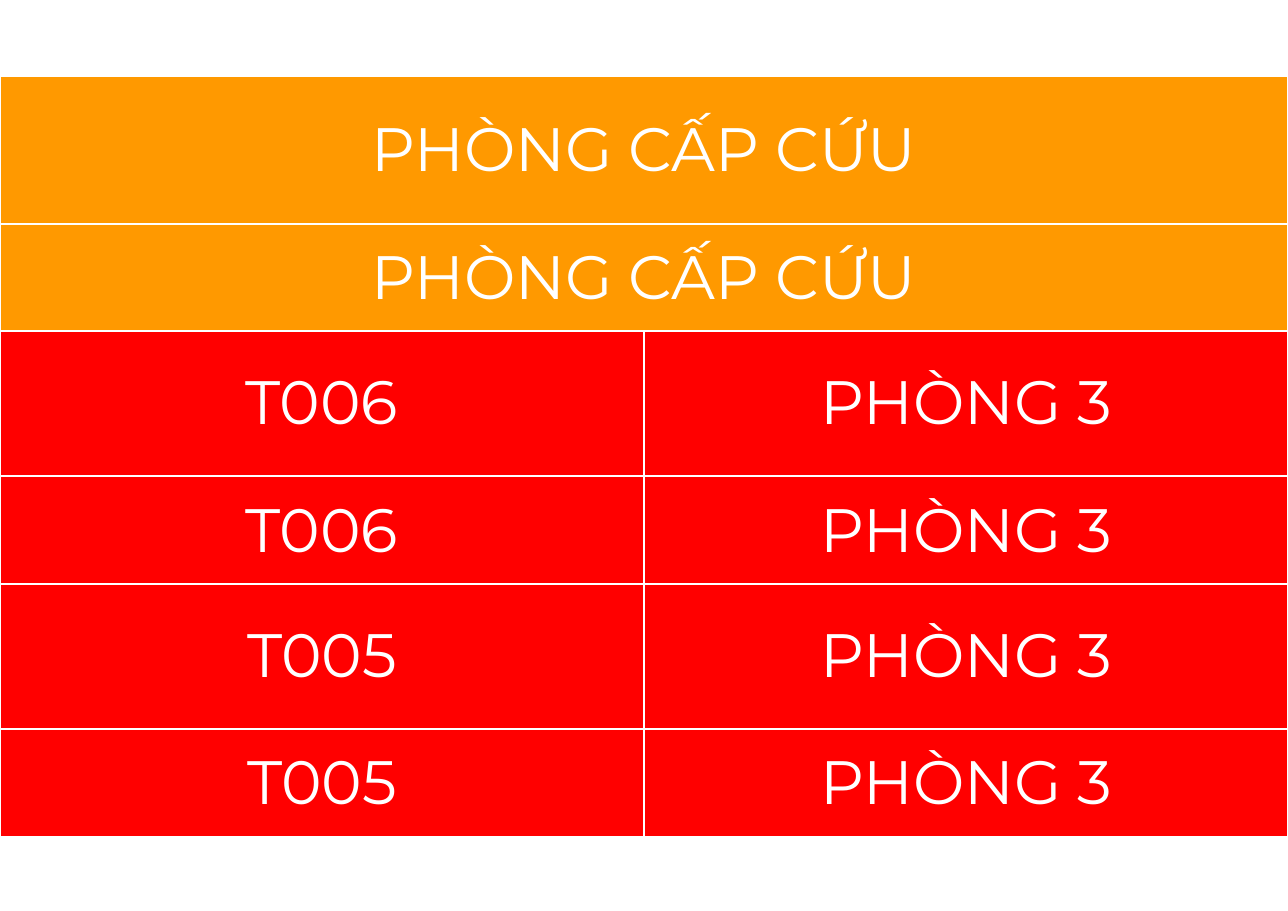
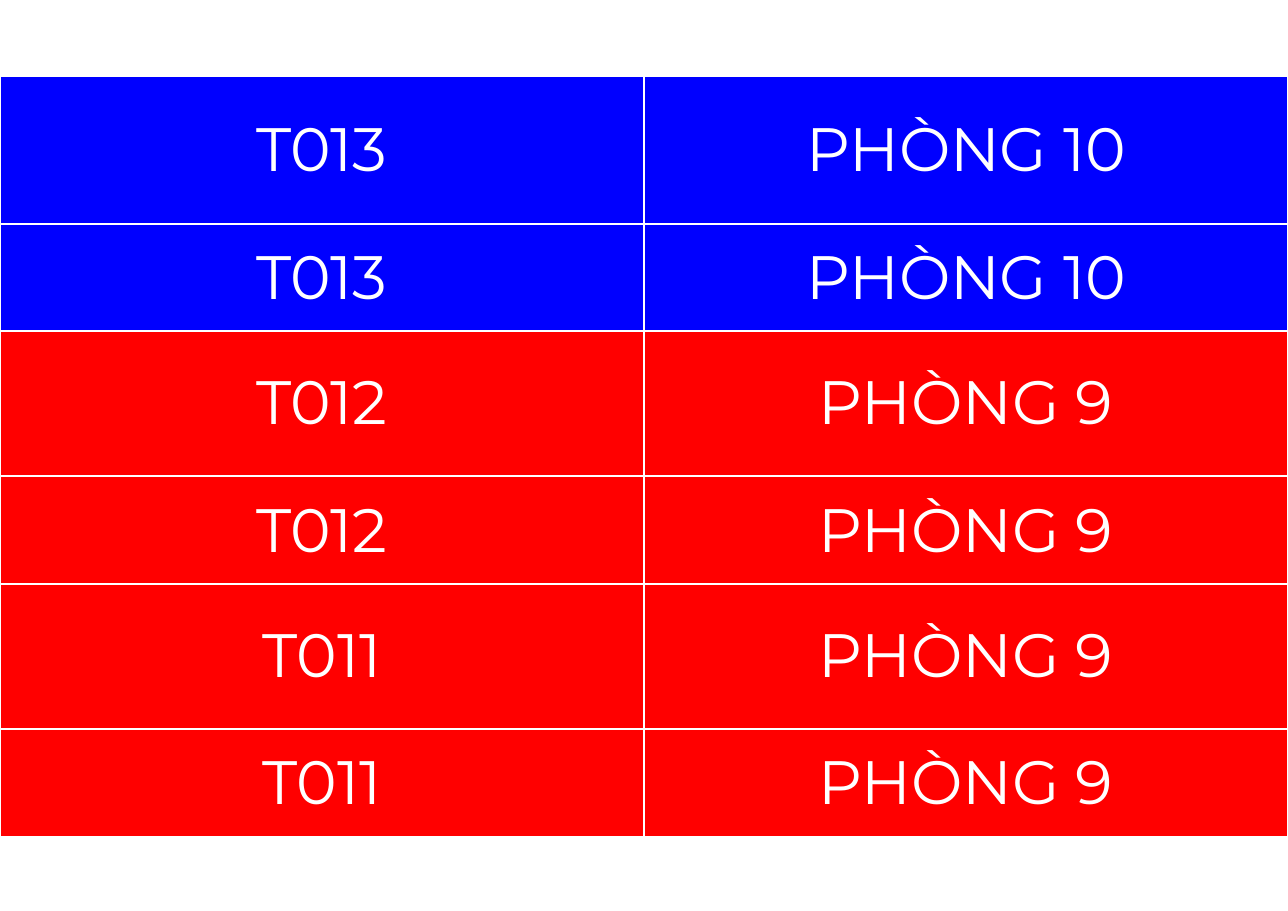
from lxml.etree import SubElement
from pptx import Presentation
from pptx.dml.color import RGBColor as Rgb
from pptx.enum.text import MSO_ANCHOR as Anchor, PP_ALIGN as Align
from pptx.oxml.ns import qn
from pptx.util import Inches, Pt

WIDE, HIGH = 11.69, 8.27
TOP, LAST = 0.69, 5.28
TALL, SHORT = 1.34, 0.94
FONT, SIZE = "Montserrat", 40
HUES = {"white": "FFFFFF", "red": "FF0000", "blue": "0000FF", "amber": "FF9900"}
ROOMS = [
    [("amber", ["PHÒNG CẤP CỨU"]), ("red", ["T006", "PHÒNG 3"]),
     ("red", ["T005", "PHÒNG 3"])],
    [("blue", ["T013", "PHÒNG 10"]), ("red", ["T012", "PHÒNG 9"]),
     ("red", ["T011", "PHÒNG 9"])],
]


def edge(cell):
    """Draw a thin white border on all four sides of a cell."""
    props = cell._tc.get_or_add_tcPr()
    for spot, side in enumerate(("lnL", "lnR", "lnT", "lnB")):
        line = SubElement(props, qn("a:" + side), w=str(Pt(1.5)))
        fill = SubElement(line, qn("a:solidFill"))
        SubElement(fill, qn("a:srgbClr"), val=HUES["white"])
        props.insert(spot, line)


def style(cell, text, hue):
    """Fill one cell and centre its text."""
    cell.fill.solid()
    cell.fill.fore_color.rgb = Rgb.from_string(HUES[hue])
    cell.vertical_anchor = Anchor.MIDDLE
    cell.margin_left = cell.margin_right = Inches(0.12)
    cell.margin_top = cell.margin_bottom = Inches(0.15)
    cell.text = text
    para = cell.text_frame.paragraphs[0]
    para.alignment = Align.CENTER
    para.font.name, para.font.size = FONT, Pt(SIZE)
    para.font.color.rgb = Rgb.from_string(HUES["white"])
    edge(cell)


def label(slide, box, hue, texts):
    """Place a one-row label table in a box, with equal columns."""
    frame = slide.shapes.add_table(1, len(texts), *map(Inches, box))
    table = frame.table
    table.first_row = table.horz_banding = False
    for col, text in enumerate(texts):
        style(table.cell(0, col), text, hue)


def pair(slide, top, hue, texts):
    """Place a tall label and the short one beneath it."""
    label(slide, (0, top, WIDE, TALL), hue, texts)
    label(slide, (0, top + TALL, WIDE, SHORT), hue, texts)


def sheet(deck, rooms):
    """Add a slide of evenly spaced label pairs, lowest first."""
    slide = deck.slides.add_slide(deck.slide_layouts[6])
    step = (LAST - TOP) / (len(rooms) - 1)
    for row in reversed(range(len(rooms))):
        pair(slide, TOP + row * step, *rooms[row])


def main():
    """Build and save the deck."""
    deck = Presentation()
    deck.slide_width, deck.slide_height = Inches(WIDE), Inches(HIGH)
    for rooms in ROOMS:
        sheet(deck, rooms)
    deck.save("out.pptx")


if __name__ == "__main__":
    main()
